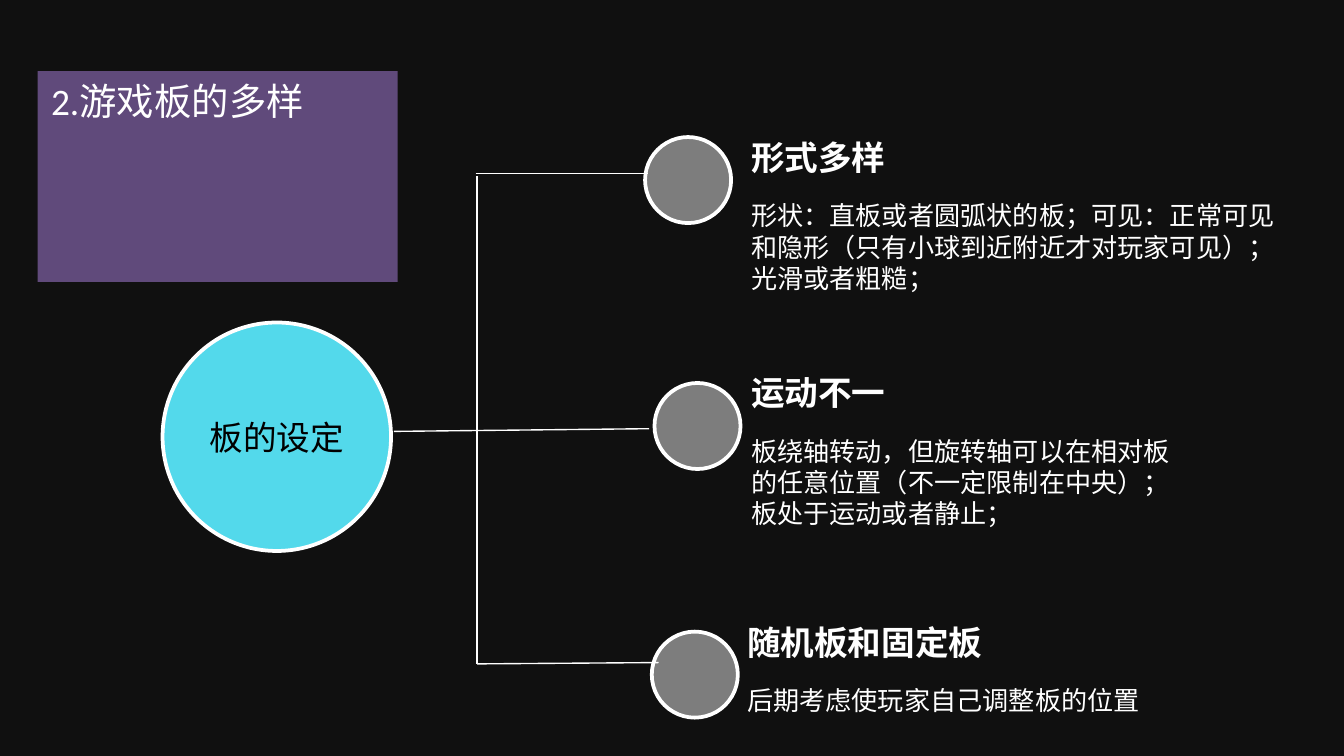
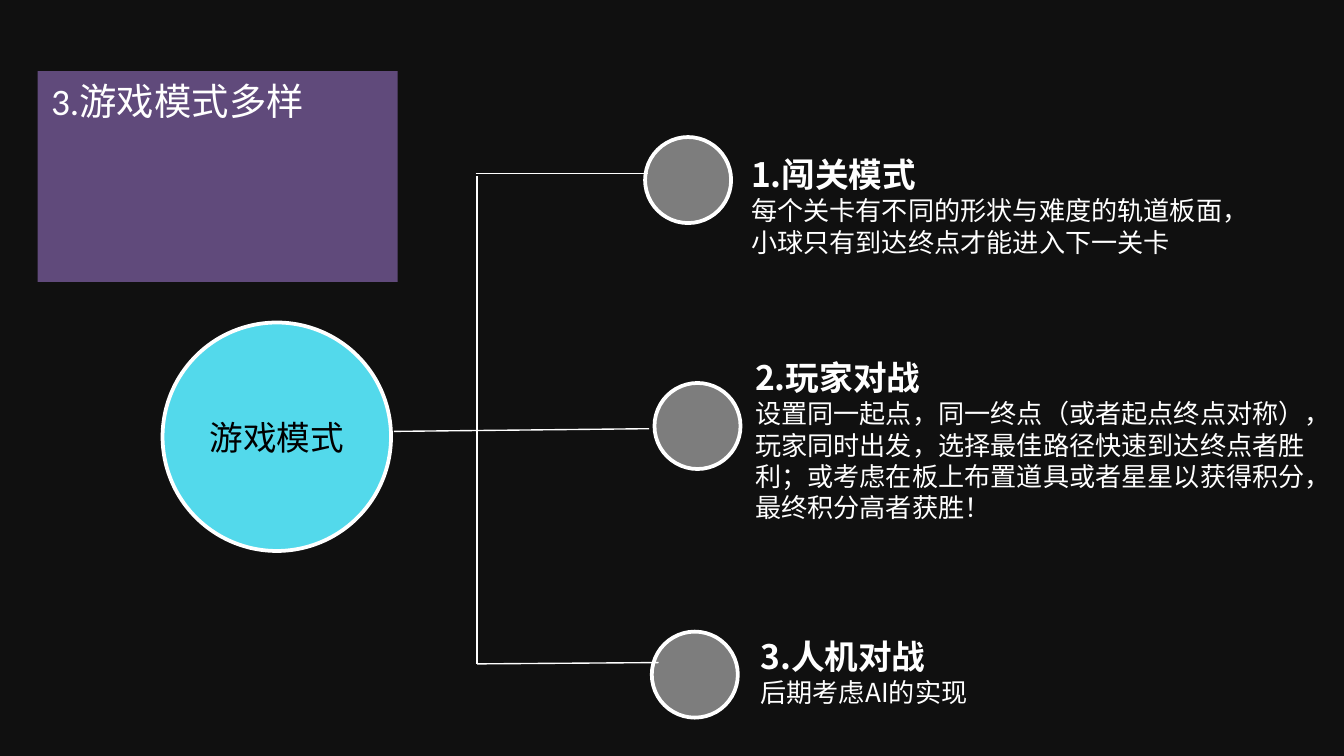
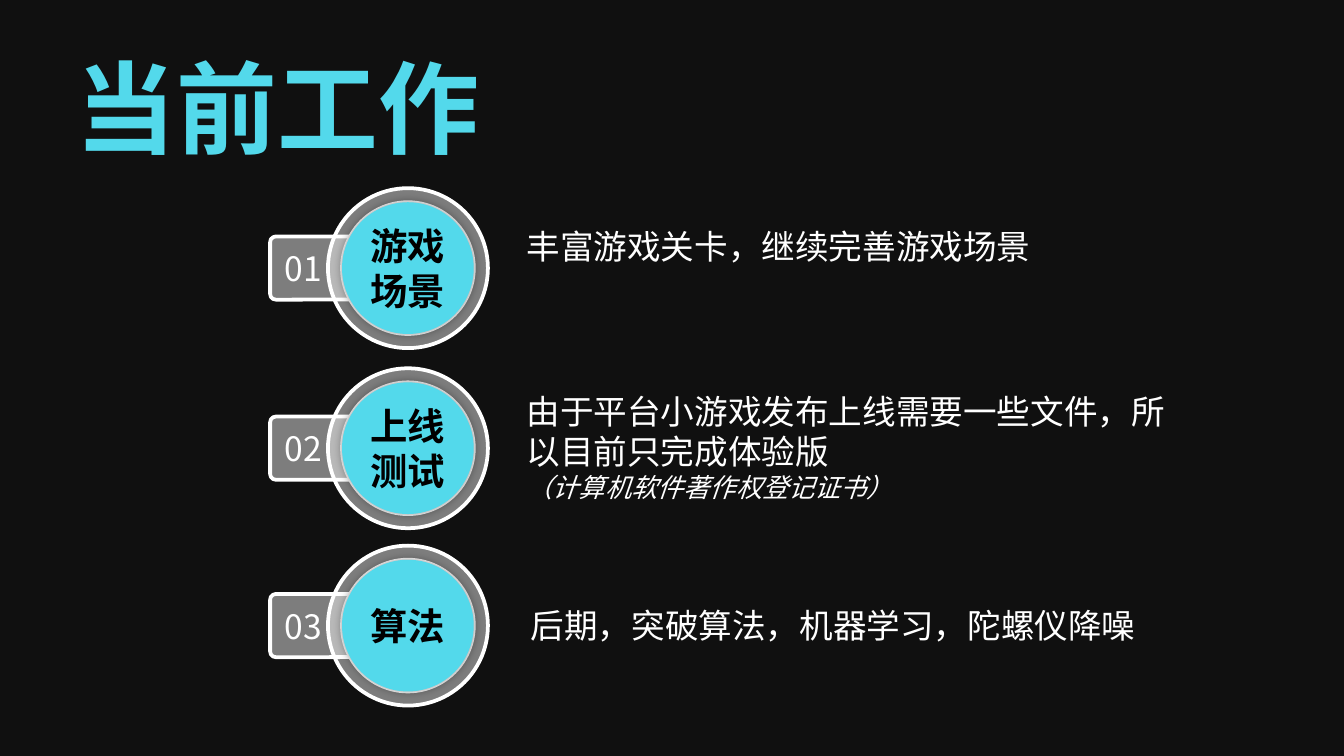
from lxml import etree
from pptx import Presentation
from pptx.dml.color import RGBColor
from pptx.enum.lang import MSO_LANGUAGE_ID
from pptx.enum.shapes import MSO_CONNECTOR, MSO_SHAPE
from pptx.enum.text import MSO_ANCHOR, MSO_AUTO_SIZE, PP_ALIGN
from pptx.oxml.ns import qn
from pptx.util import Inches, Pt

NIGHT = RGBColor(0x10, 0x10, 0x10)
WHITE = RGBColor(0xFF, 0xFF, 0xFF)
BLACK = RGBColor(0x00, 0x00, 0x00)
CYAN = RGBColor(0x53, 0xD9, 0xEB)
PURPLE = RGBColor(0x60, 0x4A, 0x7B)
CJK_FONT = "Noto Sans CJK SC"
TITLE_FONT = "Calibri"

prs = Presentation()
prs.slide_width, prs.slide_height = Inches(10), Inches(5.625)
CELL = prs.slide_width // 100
title_only = prs.slide_layouts[5]
backdrop = prs.slide_master.background.fill
backdrop.solid()
backdrop.fore_color.rgb = NIGHT


def cells(*lengths):
    """Turn lengths on the grid of 100 square columns into EMU."""
    return [round(length * CELL) for length in lengths]


def write(paragraph, text, size, color, bold=False, italic=False, latin=CJK_FONT):
    run = paragraph.add_run()
    run.text = text
    font = run.font
    font.size, font.bold, font.italic, font.name = Pt(size), bold, italic, latin
    font.color.rgb = color
    font.language_id = MSO_LANGUAGE_ID.SIMPLIFIED_CHINESE
    east_asian = etree.Element(qn("a:ea"), typeface=CJK_FONT)
    font._element.find(qn("a:latin")).addnext(east_asian)


# Mind maps: title, hub, space after paragraphs, heading line spacing, branches
mind_maps = [
    ("2.游戏板的多样", "板的设定", 12, 1, [
        ((54.9, 9.7, 41.9, 12.8), "形式多样",
         "形状：直板或者圆弧状的板；可见：正常可见和隐形（只有小球到近附近才对玩家可见）；光滑或者粗糙；"),
        ((54.9, 27.2, 33.9, 12.8), "运动不一",
         "板绕轴转动，但旋转轴可以在相对板的任意位置（不一定限制在中央）；板处于运动或者静止；"),
        ((54.6, 45.8, 33.9, 8.1), "随机板和固定板",
         "后期考虑使玩家自己调整板的位置"),
    ]),
    ("3.游戏模式多样", "游戏模式", 0, 1.5, [
        ((54.9, 9.5, 39.4, 10.3), "1.闯关模式",
         "每个关卡有不同的形状与难度的轨道板面，小球只有到达终点才能进入下一关卡"),
        ((55.2, 24.6, 43.3, 15), "2.玩家对战",
         "设置同一起点，同一终点（或者起点终点对称），玩家同时出发，选择最佳路径快速到达终点者胜利；"
         "或考虑在板上布置道具或者星星以获得积分，最终积分高者获胜！"),
        ((55.6, 45.3, 34.6, 7.9), "3.人机对战", "后期考虑AI的实现"),
    ]),
]
branch_lines = [
    (35.4, 12.9, 48.2, 12.9),
    (29.3, 32.1, 48.3, 31.9),
    (35.5, 49.4, 49, 49.3),
    (35.5, 13.1, 35.5, 49.4),
]
branch_dots = [(48, 10.2), (48.7, 28.5), (48.5, 47)]
DOT = 6.4
glass_shapes = []
cyan_discs = []

for title_text, hub_text, space_after, heading_spacing, branches in mind_maps:
    slide = prs.slides.add_slide(title_only)
    for ends in branch_lines:
        branch_line = slide.shapes.add_connector(MSO_CONNECTOR.STRAIGHT, *cells(*ends))
        branch_line.line.color.rgb = WHITE
        branch_line.line.width = Pt(0.75)
        etree.SubElement(branch_line._element.spPr, qn("a:effectLst"))
    for left, top in branch_dots:
        glass_shapes.append(
            slide.shapes.add_shape(MSO_SHAPE.OVAL, *cells(left, top, DOT, DOT)))

    hub = slide.shapes.add_shape(MSO_SHAPE.OVAL, *cells(12.1, 24, 17, 17))
    hub.line.color.rgb = WHITE
    hub.line.width = Pt(2)
    write(hub.text_frame.paragraphs[0], hub_text, 18, BLACK)
    cyan_discs.append(hub)

    title = slide.shapes.title
    title.left, title.top, title.width, title.height = cells(2.8, 5.3, 26.8, 4.4)
    title.fill.solid()
    title.fill.fore_color.rgb = PURPLE
    title.text_frame.vertical_anchor = MSO_ANCHOR.TOP
    title.text_frame.auto_size = MSO_AUTO_SIZE.SHAPE_TO_FIT_TEXT
    heading = title.text_frame.paragraphs[0]
    heading.alignment = PP_ALIGN.LEFT
    write(heading, title_text, 20, WHITE, latin=TITLE_FONT)

    for box, branch_name, explanation in branches:
        frame = slide.shapes.add_textbox(*cells(*box)).text_frame
        frame.word_wrap = True
        frame.auto_size = MSO_AUTO_SIZE.SHAPE_TO_FIT_TEXT
        heading, detail = frame.paragraphs[0], frame.add_paragraph()
        heading.line_spacing = heading_spacing
        heading.space_after = detail.space_after = Pt(space_after)
        write(heading, branch_name, 18, WHITE, bold=True)
        write(detail, explanation, 14, WHITE)

# Current work
slide = prs.slides.add_slide(title_only)
title = slide.shapes.title
title.left, title.top, title.width, title.height = cells(4.4, 2.9, 32.5, 10.1)
title.text_frame.word_wrap = False
title.text_frame.vertical_anchor = MSO_ANCHOR.TOP
title.text_frame.auto_size = MSO_AUTO_SIZE.SHAPE_TO_FIT_TEXT
heading = title.text_frame.paragraphs[0]
heading.alignment = PP_ALIGN.CENTER
write(heading, "当前工作", 54, CYAN, bold=True, latin=TITLE_FONT)

RING, DISC = 11.9, 9.8
RIM = (RING - DISC) / 2
tasks = [
    (14, "游戏场景", (38.2, 16.3, 50.4, 4), "丰富游戏关卡，继续完善游戏场景", None),
    (27.4, "上线测试", (38.2, 28.6, 50.4, 9.4),
     "由于平台小游戏发布上线需要一些文件，所以目前只完成体验版", "（计算机软件著作权登记证书）"),
    (40.6, "算法", (38.5, 44.5, 50.4, 4), "后期，突破算法，机器学习，陀螺仪降噪", None),
]
for number, (top, task, box, progress, remark) in enumerate(tasks, start=1):
    tab = slide.shapes.add_shape(
        MSO_SHAPE.ROUNDED_RECTANGLE, *cells(20.1, top + 3.6, 7.1, 4.7))
    tab.adjustments[0] = 0.09
    label = tab.text_frame.paragraphs[0]
    label.alignment = PP_ALIGN.LEFT
    write(label, f"{number:02}", 18, WHITE)

    ring = slide.shapes.add_shape(MSO_SHAPE.DONUT, *cells(24.4, top, RING, RING))
    ring.adjustments[0] = RIM / RING
    glass_shapes += [tab, ring]

    disc = slide.shapes.add_shape(
        MSO_SHAPE.OVAL, *cells(24.4 + RIM, top + RIM, DISC, DISC))
    disc.line.fill.background()
    disc.shadow.inherit = False
    effects = disc._element.spPr.find(qn("a:effectLst"))
    shadow = etree.SubElement(effects, qn("a:outerShdw"), blurRad=str(Pt(5)), dist="0")
    shade = etree.SubElement(shadow, qn("a:srgbClr"), val=str(BLACK))
    etree.SubElement(shade, qn("a:alpha"), val="40000")
    frame = disc.text_frame
    frame.margin_left = frame.margin_right = frame.margin_top = frame.margin_bottom = 0
    write(frame.paragraphs[0], task, 20, BLACK, bold=True)
    cyan_discs.append(disc)

    frame = slide.shapes.add_textbox(*cells(*box)).text_frame
    frame.word_wrap = True
    frame.auto_size = MSO_AUTO_SIZE.SHAPE_TO_FIT_TEXT
    write(frame.paragraphs[0], progress, 18, WHITE)
    if remark:
        write(frame.add_paragraph(), remark, 14, WHITE, italic=True)

# Shared shape styles
for glass in glass_shapes:
    glass.shadow.inherit = False
    glass.fill.solid()
    glass.fill.fore_color.rgb = WHITE
    tint = glass._element.spPr.find(qn("a:solidFill")).find(qn("a:srgbClr"))
    etree.SubElement(tint, qn("a:alpha"), val="46000")
    glass.line.color.rgb = WHITE
    glass.line.width = Pt(2)
for disc in cyan_discs:
    disc.fill.solid()
    disc.fill.fore_color.rgb = CYAN
    disc.text_frame.paragraphs[0].alignment = PP_ALIGN.CENTER
    if disc._element.spPr.find(qn("a:effectLst")) is None:
        disc.shadow.inherit = False

prs.save("out.pptx")
